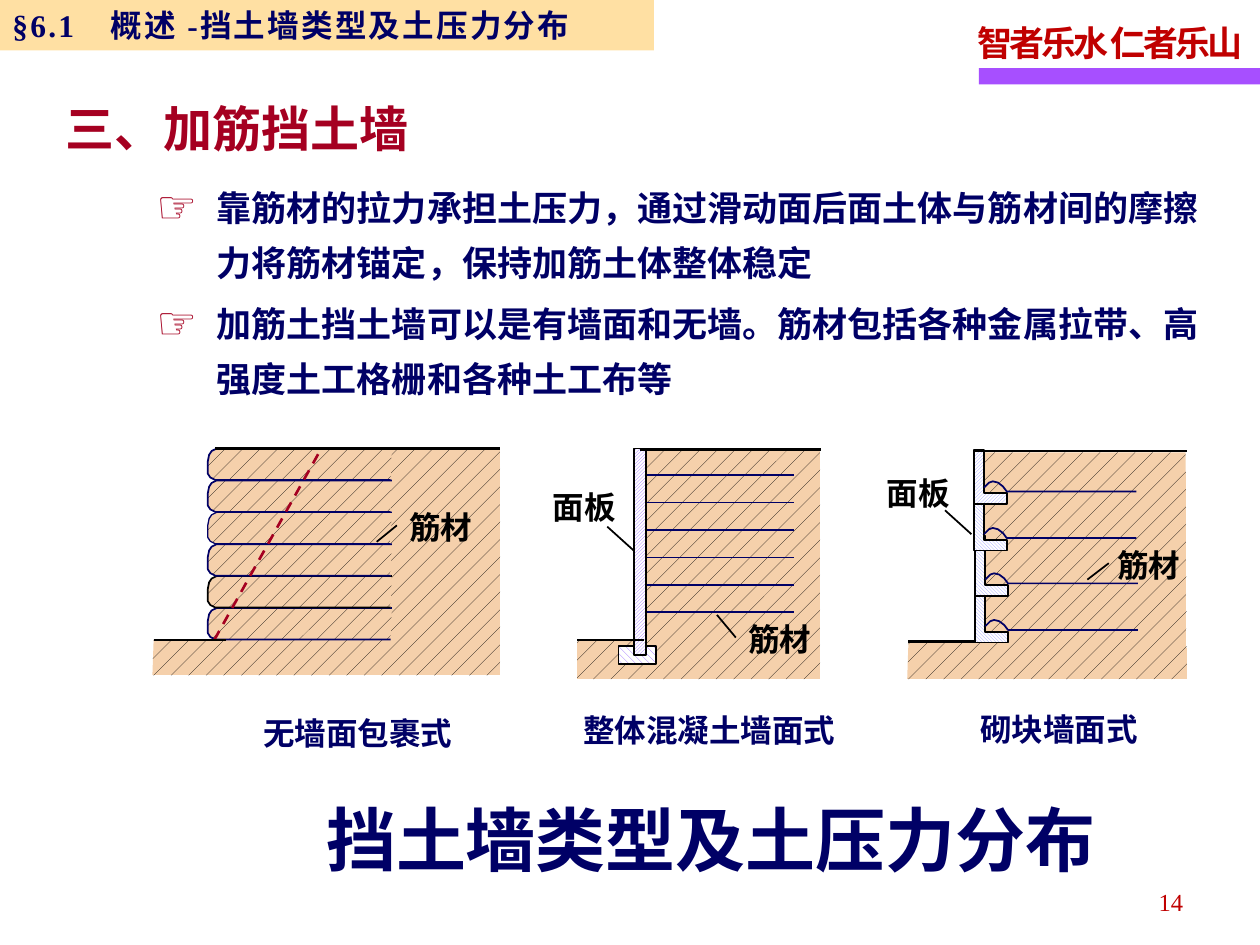
from lxml import etree
from pptx import Presentation
from pptx.dml.color import RGBColor
from pptx.enum.dml import MSO_LINE, MSO_PATTERN
from pptx.enum.shapes import MSO_CONNECTOR, MSO_SHAPE
from pptx.enum.text import MSO_ANCHOR, MSO_AUTO_SIZE, PP_ALIGN
from pptx.oxml.ns import qn
from pptx.util import Inches, Pt

LEFT, RIGHT = PP_ALIGN.LEFT, PP_ALIGN.RIGHT
TOP, MIDDLE = MSO_ANCHOR.TOP, MSO_ANCHOR.MIDDLE
RECT, ELL = MSO_SHAPE.RECTANGLE, MSO_SHAPE.CORNER
DOTS = MSO_PATTERN.PERCENT_5
WIDE = MSO_PATTERN.WIDE_DOWNWARD_DIAGONAL
DARK = MSO_PATTERN.DARK_UPWARD_DIAGONAL
DOWN = MSO_PATTERN.LIGHT_DOWNWARD_DIAGONAL
UP = MSO_PATTERN.LIGHT_UPWARD_DIAGONAL
DASH, STRAIGHT = MSO_LINE.DASH, MSO_CONNECTOR.STRAIGHT

SANS, SERIF = "Noto Sans CJK SC", "Times New Roman"
NAVY, RED, CRIMSON, BLACK = "000066", "A50021", "C00000", "000000"
SOIL = (DOTS, BLACK, "F5D0AB")

HEAD = "§6.1　概述 -挡土墙类型及土压力分布"
MOTTO = "智者乐水 仁者乐山"
TITLE = "三、加筋挡土墙"
TOPIC = "挡土墙类型及土压力分布"
POINTS = [
    "靠筋材的拉力承担土压力，通过滑动面后面土体与筋材间的摩擦力将筋材锚定，保持加筋土体整体稳定",
    "加筋土挡土墙可以是有墙面和无墙。筋材包括各种金属拉带、高强度土工格栅和各种土工布等",
]

WALLS = [
    {
        "soil": [(1.22, 5.08), (1.21, 5.36), (3.97, 5.36), (3.97, 3.56),
                 (2.95, 3.56), (2.95, 5.05)],
        "edges": [(1.22, 5.08, 1.79, 5.08), (1.71, 3.56, 3.97, 3.56)],
        "tags": [("筋材", 3.15, 3.94)],
        "leads": [(2.99, 4.3, 3.15, 4.17)],
        "name": ("无墙面包裹式", 1.99, 5.57, 1.82),
    },
    {
        "soil": [(4.58, 5.09), (4.58, 5.39), (6.51, 5.39), (6.51, 3.57),
                 (5.07, 3.57), (5.07, 5.07)],
        "edges": [(4.58, 5.08, 5.11, 5.08), (5.08, 3.57, 6.52, 3.57)],
        "tags": [("筋材", 5.84, 4.83), ("面板", 4.29, 3.78)],
        "leads": [(5.84, 5.06, 5.69, 4.88), (5.03, 4.37, 4.82, 4.18)],
        "name": ("整体混凝土墙面式", 4.53, 5.55, 2.29),
    },
    {
        "soil": [(7.21, 5.1), (7.2, 5.39), (9.42, 5.39), (9.41, 3.59),
                 (7.77, 3.59), (7.82, 5.08)],
        "edges": [(7.73, 3.58, 9.42, 3.58), (7.21, 5.09, 7.74, 5.09)],
        "tags": [("筋材", 8.77, 4.24), ("面板", 6.94, 3.67)],
        "leads": [(8.63, 4.6, 8.8, 4.47), (7.71, 4.24, 7.5, 4.05)],
        "name": ("砌块墙面式", 7.68, 5.54, 1.53),
    },
]

WRAP = [(3.11, 0), (1.72, 0), (1.68, 0.02), (1.66, 0.05), (1.65, 0.1),
        (1.65, 0.2), (1.67, 0.23), (1.71, 0.25), (3.1, 0.25)]
LAYERS = [(NAVY, 1), (NAVY, 1), (NAVY, 0.75), (NAVY, 1), (BLACK, 1), (NAVY, 1)]
STRAP = [(0.08, -0.13), (0.12, -0.17), (0.15, -0.18), (0.19, -0.17),
         (0.23, -0.14), (0.26, -0.1), (1.29, -0.1)]
BLOCKS = [(7.74, 4.62, 0.48, DOWN), (7.74, 4.25, 0.48, DOWN),
          (7.73, 3.89, 0.48, DOWN), (7.73, 3.57, 0.43, UP)]


def rgb(code):
    return RGBColor.from_string(code)


def paint(shape, fill=None, line=None):
    shape.shadow.inherit = False
    if fill is None:
        shape.fill.background()
    elif isinstance(fill, str):
        shape.fill.solid()
        shape.fill.fore_color.rgb = rgb(fill)
    else:
        shape.fill.patterned()
        shape.fill.pattern = fill[0]
        shape.fill.fore_color.rgb = rgb(fill[1])
        shape.fill.back_color.rgb = rgb(fill[2])
    if line:
        shape.line.color.rgb = rgb(line[0])
        shape.line.width = Pt(line[1])
    else:
        shape.line.fill.background()


def place(shape, *box):
    shape.left, shape.top, shape.width, shape.height = map(Inches, box)
    return shape


def block(host, kind, box, fill, line=None):
    shape = host.add_shape(kind, *map(Inches, box))
    paint(shape, fill, line)
    return shape


def trace(host, dots, fill=None, line=None, close=False):
    dots = [(Inches(x), Inches(y)) for x, y in dots]
    pen = host.build_freeform(*dots[0], scale=1.0)
    pen.add_line_segments(dots[1:], close=close)
    paint(pen.convert_to_shape(), fill, line)


def rule(host, ends, color=BLACK, width=1, dash=None):
    line = host.add_connector(STRAIGHT, *map(Inches, ends))
    line.line.color.rgb = rgb(color)
    line.line.width = Pt(width)
    if dash:
        line.line.dash_style = dash
    etree.SubElement(line._element.spPr, qn("a:effectLst"))


def bullet(para, sign, color, size):
    props = para._p.get_or_add_pPr()
    props.set("marL", str(Inches(0.48)))
    props.set("indent", str(-Inches(0.48)))
    tint = etree.SubElement(props, qn("a:buClr"))
    etree.SubElement(tint, qn("a:srgbClr"), val=color)
    etree.SubElement(props, qn("a:buSzPct"), val=str(size * 1000))
    etree.SubElement(props, qn("a:buChar"), char=sign)


def write(shape, *lines, size=18, color=NAVY, font=SANS, bold=True, align=LEFT,
          anchor=TOP, wrap=True, space=1, after=0, track=0, pad=None, sign=None):
    frame = shape.text_frame
    frame.auto_size = MSO_AUTO_SIZE.NONE
    frame.word_wrap = wrap
    frame.vertical_anchor = anchor
    if pad is not None:
        frame.margin_left = frame.margin_right = Inches(pad)
        frame.margin_top = frame.margin_bottom = Inches(pad)
    for i, text in enumerate(lines):
        para = frame.add_paragraph() if i else frame.paragraphs[0]
        para.alignment = align
        para.line_spacing = space
        para.space_before, para.space_after = Pt(0), Pt(after)
        if sign:
            bullet(para, sign, RED, 130)
        run = para.add_run()
        run.text = text
        run.font.size, run.font.bold, run.font.name = Pt(size), bold, font
        run.font.color.rgb = rgb(color)
        props = run.font._element
        etree.SubElement(props, qn("a:ea"), typeface=SANS)
        if track:
            props.set("spc", str(round(track * 100)))


def label(host, text, box, **look):
    write(host.add_textbox(*map(Inches, box)), text, **look)


def wraps(host):
    for i in reversed(range(len(LAYERS))):
        top = 3.56 + 0.253 * i
        trace(host, [(x, top + y) for x, y in WRAP], SOIL, LAYERS[i])
    rule(host, (1.7, 5.08, 2.55, 3.56), RED, 1.5, DASH)


def panel(host):
    block(host, RECT, (4.91, 5.13, 0.3, 0.14), (WIDE, "9966FF", "FFFFFF"), (BLACK, 1))
    for i in range(6):
        y = 3.77 + 0.218 * i
        rule(host, (5.11, y, 6.3, y), NAVY)
    block(host, RECT, (5.03, 3.56, 0.1, 1.64), (DARK, "9966FF", "FFFFFF"), (BLACK, 1))


def bricks(host):
    for x, y, tall, weave in BLOCKS:
        ell = block(host, ELL, (x, y, 0.26, tall), (weave, "9999FF", "FFFFFF"), (BLACK, 1))
        ell.adjustments[0], ell.adjustments[1] = 0.33, 0.3
        trace(host, [(x + a, y + tall + b) for a, b in STRAP], line=(NAVY, 1))


def main():
    deck = Presentation()
    deck.slide_width, deck.slide_height = Inches(10), Inches(7.5)
    slide = deck.slides.add_slide(deck.slide_layouts[1])
    host = slide.shapes
    title, body = slide.placeholders

    block(host, RECT, (7.77, 0.54, 2.23, 0.13), "A74FFF")
    label(host, MOTTO, (7.66, 0.07, 2.36, 0.49), size=20, color=CRIMSON,
          font=SERIF, space=1.15, track=-1.7, wrap=False)
    label(host, "14", (7.16, 6.96, 2.33, 0.4), size=14, color=CRIMSON,
          font=SERIF, bold=False, align=RIGHT, space=1.15)
    write(place(title, 0.42, 0.73, 4.84, 0.57), TITLE, size=28, color=RED, anchor=MIDDLE)
    label(host, TOPIC, (2.49, 6.27, 6.56, 0.77), size=40, anchor=MIDDLE)
    write(place(body, 1.24, 1.38, 8.3, 1.81), *POINTS, size=20, font=SERIF,
          space=1.3, after=4, pad=0, sign="☞")
    bar = block(host, RECT, (0, 0, 5.19, 0.4), "FFCC66")
    tint = bar._element.spPr.find(".//" + qn("a:srgbClr"))
    etree.SubElement(tint, qn("a:alpha"), val="60000")
    write(bar, HEAD, font=SERIF, anchor=MIDDLE, track=1.3)

    for wall, draw in zip(WALLS, (wraps, panel, bricks)):
        group = host.add_group_shape().shapes
        trace(group, wall["soil"], SOIL, close=True)
        draw(group)
        for ends in wall["edges"]:
            rule(group, ends, width=1.5)
        for ends in wall["leads"]:
            rule(group, ends)
        for text, x, y in wall["tags"]:
            label(group, text, (x, y, 0.73, 0.45), color=BLACK, space=1.15)
        name, x, y, wide = wall["name"]
        label(group, name, (x, y, wide, 0.45), space=1.15)
    deck.save("out.pptx")


if __name__ == "__main__":
    main()
